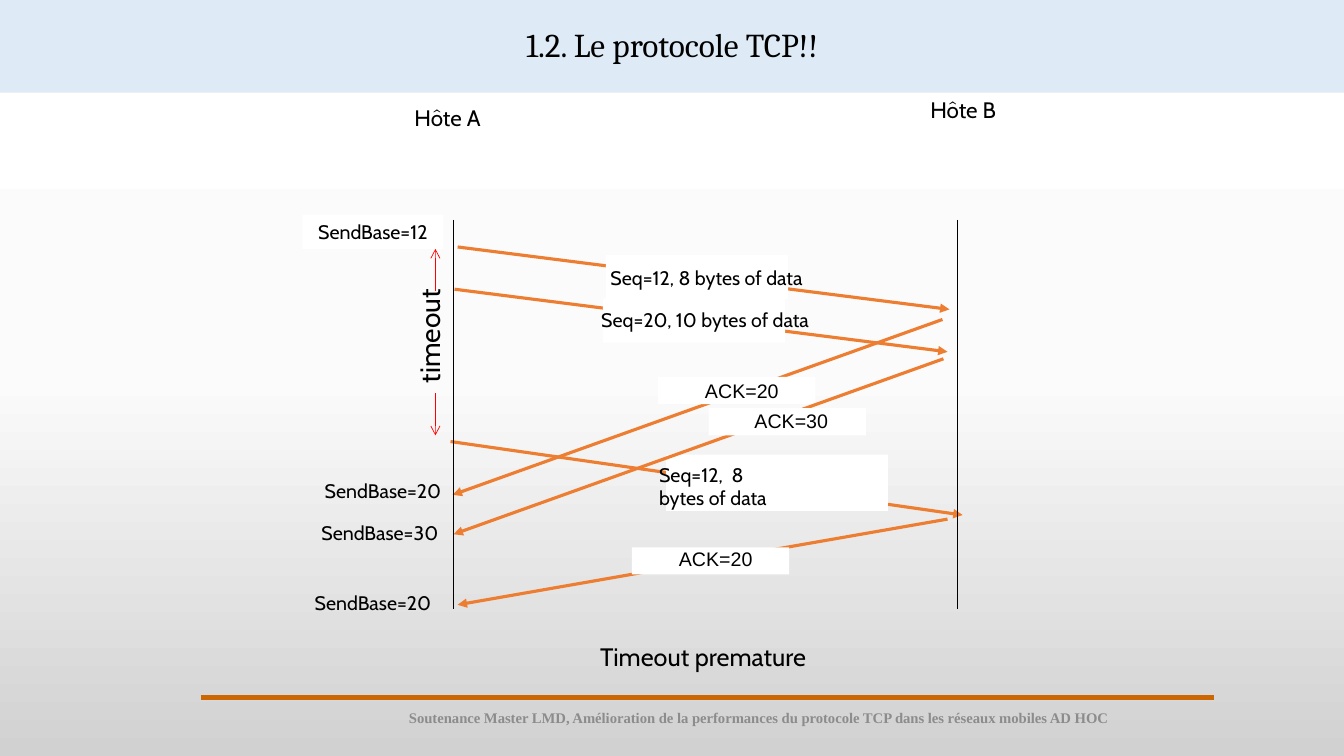
from copy import deepcopy

from lxml import etree
from pptx import Presentation
from pptx.dml.color import RGBColor
from pptx.enum import shapes, text
from pptx.oxml import ns
from pptx.util import Pt

BLACK, WHITE, ORANGE, RED = "000000", "FFFFFF", "ED7D31", "FF0000"
CENTER, LEFT = text.PP_ALIGN.CENTER, text.PP_ALIGN.LEFT

# arrow start, arrow end, mask box, label box, label lines, font
MESSAGES = [
    ((326.9, 176.4), (678.2, 221), (432.7, 182.2, 130.3, 31.7),
     (421.9, 186.5, 165.6, 24.5), ["Seq=12, 8 bytes of data"], "Cabin"),
    ((673.2, 228.2), (323.3, 353.5), (470.2, 269.3, 112.3, 19.4),
     (496.1, 267.1, 67.7, 24.5), ["ACK=20"], "Arial"),
    ((321.8, 315.4), (687.6, 367.9), (475.9, 324.7, 158.4, 40.3),
     (463.7, 326.9, 96.5, 41), ["Seq=12,  8", "bytes of data"], "Cabin"),
    ((676.8, 370.8), (326.9, 432), (451.4, 391, 112.3, 19.4),
     (477.4, 387.4, 67.7, 24.5), ["ACK=20"], "Arial"),
    ((324.7, 206.6), (676.8, 251.3), (430.6, 213.1, 130.3, 31.7),
     (416.9, 216.7, 173.5, 24.5), ["Seq=20, 10 bytes of data"], "Cabin"),
    ((673.9, 256.3), (324, 381.6), (506.2, 291.6, 112.3, 19.4),
     (531.4, 288.7, 67.7, 24.5), ["ACK=30"], "Arial"),
]
LABELS = [
    ("SendBase=20", (223.2, 338.4, 100.8, 24.5), 14),
    ("SendBase=30", (221, 368.6, 100.8, 24.5), 14),
    ("SendBase=20", (216, 418.3, 100.8, 24.5), 14),
    ("SendBase=12", (216, 153.4, 100.8, 24.5), 14),
    ("Hôte A", (259.9, 70.6, 119.5, 26.6), 16),
    ("Hôte B", (617.8, 64.8, 140.4, 26.6), 16),
    ("Timeout premature", (417.6, 454.3, 169.2, 29), 18),
]


def rgb(color):
    return RGBColor.from_string(color)


def paint_background(slide):
    fill = slide.background.fill
    fill.gradient()
    fill.gradient_angle = 270
    stops = slide.background._cSld.find(".//" + ns.qn("a:gsLst"))
    stops.append(deepcopy(stops[-1]))
    shades = [(0, "FFFFFF"), (0.5, "FBFBFB"), (1, "D1D1D1")]
    for stop, (position, color) in zip(fill.gradient_stops, shades):
        stop.position = position
        stop.color.rgb = rgb(color)


def write(frame, lines, size, font="Cabin", color=BLACK, align=CENTER, bold=False):
    for index, line in enumerate(lines):
        paragraph = frame.paragraphs[0] if index == 0 else frame.add_paragraph()
        paragraph.text = line
        paragraph.alignment = align
        style = {"name": font, "size": Pt(size), "bold": bold}
        for key, value in style.items():
            setattr(paragraph.font, key, value)
        paragraph.font.color.rgb = rgb(color)


def add_label(slide, box, lines, size, **style):
    frame = slide.shapes.add_textbox(*map(Pt, box)).text_frame
    frame.word_wrap = False
    write(frame, lines, size, **style)
    return frame


def add_mask(slide, box):
    """White rectangle that hides the arrow behind a label."""
    mask = slide.shapes.add_shape(shapes.MSO_SHAPE.RECTANGLE, *map(Pt, box))
    mask.shadow.inherit = False
    mask.fill.solid()
    mask.fill.fore_color.rgb = rgb(WHITE)
    mask.line.fill.background()


def add_line(slide, start, end, color, width, head=None):
    line = slide.shapes.add_connector(
        shapes.MSO_CONNECTOR.STRAIGHT, *map(Pt, start + end))
    line.line.color.rgb = rgb(color)
    line.line.width = Pt(width)
    if head:
        etree.SubElement(line.line._get_or_add_ln(), ns.qn("a:tailEnd"), type=head)
    etree.SubElement(line._element.spPr, ns.qn("a:effectLst"))


def add_message(slide, start, end, mask, box, lines, font):
    add_line(slide, start, end, ORANGE, 2.25, "triangle")
    add_mask(slide, mask)
    add_label(slide, box, lines, 14, font=font,
              align=LEFT if len(lines) > 1 else CENTER)


def add_title(slide):
    title = slide.shapes.title
    place = {"left": 0, "top": -2.9, "width": 960, "height": 69.1}
    for key, value in place.items():
        setattr(title, key, Pt(value))
    title.fill.solid()
    title.fill.fore_color.rgb = rgb("DEEBF7")
    frame = title.text_frame
    frame.auto_size = text.MSO_AUTO_SIZE.NONE
    frame.vertical_anchor = text.MSO_ANCHOR.MIDDLE
    write(frame, ["1.2. Le protocole TCP!!"], 23.8, "Cambria")


def add_timeout(slide):
    frame = add_label(slide, (290.9, 202.3, 38.9, 75.6), ["timeout"], 20)
    frame._txBody.bodyPr.set("vert", "vert270")
    for start, end in [(208.1, 177.8), (280.8, 311)]:
        add_line(slide, (311, start), (311, end), RED, 0.5, "arrow")


def add_footer(slide):
    add_line(slide, (143.3, 498.2), (866.9, 498.2), "CC6600", 3)
    frame = add_label(
        slide, (217.4, 498.2, 649.4, 28.8),
        ["Soutenance Master LMD, Amélioration de la performances du protocole "
         "TCP dans les réseaux mobiles AD HOC"],
        10.5, font="Times New Roman", color="8C8C8C", bold=True)
    frame.word_wrap = True
    frame.vertical_anchor = text.MSO_ANCHOR.MIDDLE


def main():
    deck = Presentation()
    deck.slide_width, deck.slide_height = Pt(960), Pt(540)
    slide = deck.slides.add_slide(deck.slide_layouts[5])
    paint_background(slide)
    add_title(slide)
    for message in MESSAGES:
        add_message(slide, *message)
    for host_x in (324, 684):
        add_line(slide, (host_x, 157), (host_x, 435.2), BLACK, 0.5)
    add_mask(slide, (216, 153.4, 100.8, 24.5))
    for words, box, size in LABELS:
        add_label(slide, box, [words], size)
    add_timeout(slide)
    add_footer(slide)
    deck.save("out.pptx")


if __name__ == "__main__":
    main()
